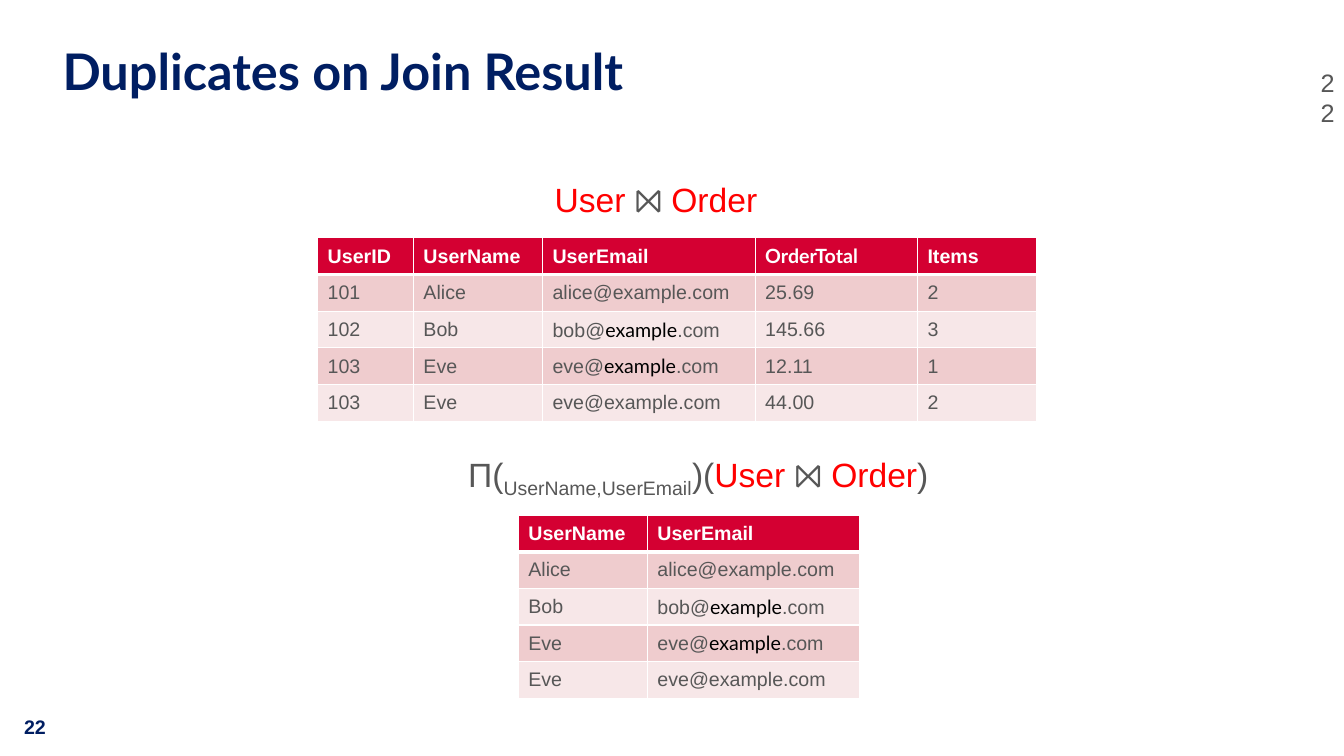
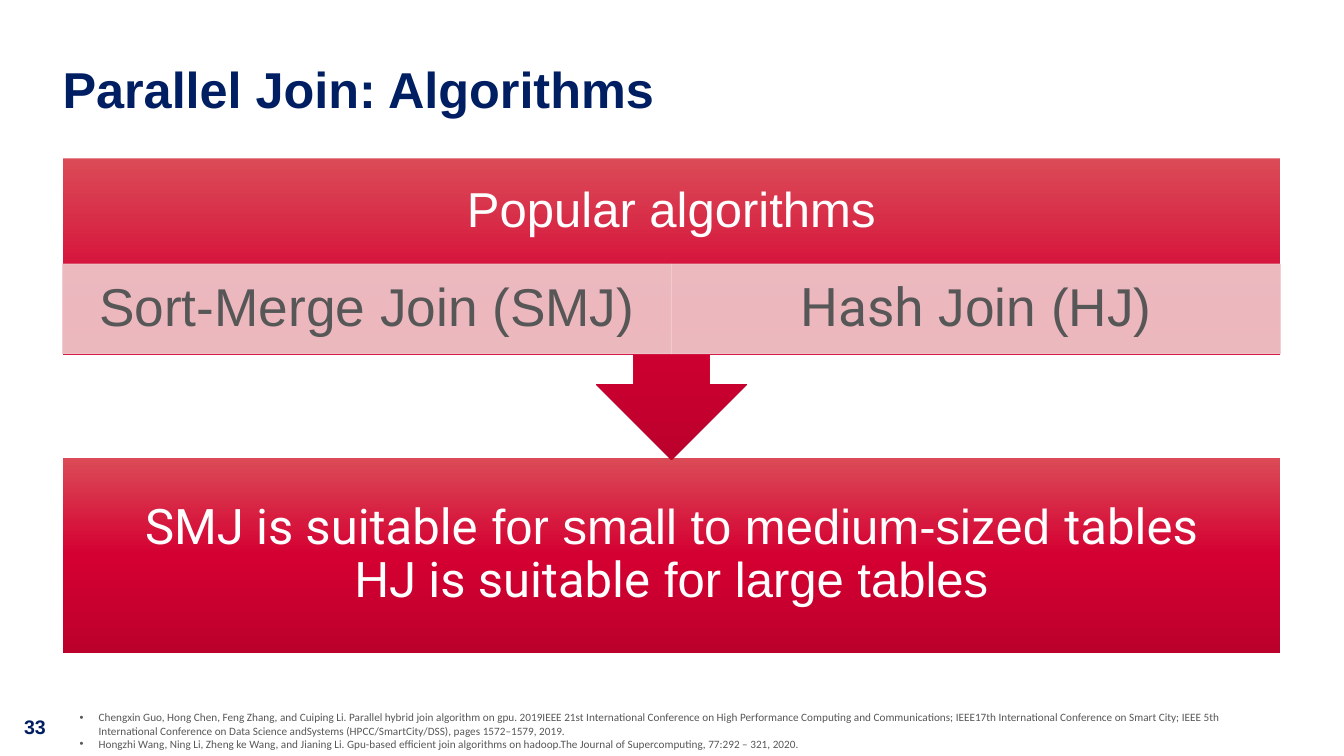
from lxml import etree
from pptx import Presentation
from pptx.dml.color import RGBColor
from pptx.enum.shapes import MSO_SHAPE as SHAPE
from pptx.enum.text import MSO_ANCHOR as ANCHOR, PP_ALIGN as ALIGN
from pptx.oxml.ns import qn
from pptx.util import Inches, Pt

# Colours
NAVY = RGBColor(0x00, 0x1E, 0x62)
GREY = RGBColor(0x57, 0x57, 0x57)
RED = RGBColor(0xFF, 0x00, 0x00)
CRIMSON = RGBColor(0xD4, 0x00, 0x32)
CRIMSON_LIGHT = RGBColor(0xDB, 0x4B, 0x57)
CRIMSON_DARK = RGBColor(0xBC, 0x00, 0x2C)
PINK = RGBColor(0xEF, 0xCC, 0xCE)
PINK_PALE = RGBColor(0xF7, 0xE7, 0xE8)
WHITE = RGBColor(0xFF, 0xFF, 0xFF)
BLACK = RGBColor(0x00, 0x00, 0x00)

# Grid, in inches
SLIDE_W, SLIDE_H = 13.33, 7.5
MARGIN = 0.62
CONTENT_W = 12.08
TABLE_ROW = 1.82 / 5
INSETS = (0.1, 0.05, 0.1, 0.05)

# Table content: a cell is a text or a list of (text, style) runs
LATO = {"font": "Lato"}
ROBOTO = {"font": "Roboto"}


def mixed_email(name):
    return [(name + "@", {}), ("example", {"font": "Lato", "color": BLACK}), (".com", {})]


JOIN_ROWS = [
    ["UserID", "UserName", "UserEmail", [("OrderTotal", LATO)], "Items"],
    ["101", "Alice", "alice@example.com", "25.69", "2"],
    ["102", "Bob", mixed_email("bob"), "145.66", "3"],
    ["103", "Eve", mixed_email("eve"), "12.11", "1"],
    ["103", "Eve", "eve@example.com", "44.00", "2"],
]
JOIN_COLS = [0.95, 1.28, 2.11, 1.61, 1.18]
PROJECTED = slice(1, 3)
JOIN_RUNS = [("User ", {"color": RED}), ("⨝ ", {}), ("Order", {"color": RED})]

REFERENCES = [
    "Chengxin Guo, Hong Chen, Feng Zhang, and Cuiping Li. Parallel hybrid join algorithm on gpu. "
    "2019IEEE 21st International Conference on High Performance Computing and Communications; "
    "IEEE17th International Conference on Smart City; IEEE 5th International Conference on Data "
    "Science andSystems (HPCC/SmartCity/DSS), pages 1572–1579, 2019.",
    "Hongzhi Wang, Ning Li, Zheng ke Wang, and Jianing Li. Gpu-based efficient join algorithms on "
    "hadoop.The Journal of Supercomputing, 77:292 – 321, 2020.",
]


# Text
def write(p, content, size, color=GREY, font="Arial", bold=False):
    """Fill a paragraph; a run text of "\\n" is a line break."""
    runs = [(content, {})] if isinstance(content, str) else content
    for text, style in runs:
        if text == "\n":
            p.add_line_break()
            continue
        r = p.add_run()
        r.text = text
        r.font.size = Pt(size)
        r.font.name = style.get("font", font)
        r.font.color.rgb = style.get("color", color)
        r.font.bold = bold
        if "base" in style:
            r.font._element.set("baseline", str(style["base"] * 1000))


def frame(sp, insets=INSETS, anchor=ANCHOR.TOP):
    tf = sp.text_frame
    tf.word_wrap = True
    tf.vertical_anchor = anchor
    tf.margin_left, tf.margin_top, tf.margin_right, tf.margin_bottom = map(Inches, insets)
    return tf


def add_text(s, box, content, size, align=None, insets=INSETS, anchor=ANCHOR.TOP,
             spacing=None, **style):
    sp = s.shapes.add_textbox(*map(Inches, box))
    p = frame(sp, insets, anchor).paragraphs[0]
    p.alignment = align
    p.line_spacing = spacing
    write(p, content, size, **style)


def add_references(s, box, entries):
    tf = frame(s.shapes.add_textbox(*map(Inches, box)))
    for i, entry in enumerate(entries):
        p = tf.add_paragraph() if i else tf.paragraphs[0]
        pPr = p._p.get_or_add_pPr()
        indent = Inches(0.19)
        pPr.set("marL", str(indent))
        pPr.set("indent", str(-indent))
        etree.SubElement(pPr, qn("a:buFont"), typeface="Arial")
        etree.SubElement(pPr, qn("a:buChar"), char="•")
        write(p, entry, 8, font="Calibri")


# Fills and shapes
def add_color(parent, color, opacity=100):
    clr = etree.SubElement(parent, qn("a:srgbClr"), val=str(color))
    if opacity < 100:
        etree.SubElement(clr, qn("a:alpha"), val=str(opacity * 1000))


def fill_crimson(sp):
    sp.fill.gradient()
    sp.fill.gradient_angle = 270
    stops = sp._element.spPr.find(qn("a:gradFill")).find(qn("a:gsLst"))
    for old in list(stops):
        stops.remove(old)
    for share, color in ((0, CRIMSON_LIGHT), (50, CRIMSON), (100, CRIMSON_DARK)):
        add_color(etree.SubElement(stops, qn("a:gs"), pos=str(share * 1000)), color)
    sp.line.fill.background()


def fill_pink(sp):
    sp.fill.solid()
    sp.fill.fore_color.rgb = PINK
    sp.line.color.rgb = PINK
    sp.line.width = Pt(0.5)
    for clr in sp._element.spPr.iter(qn("a:srgbClr")):
        etree.SubElement(clr, qn("a:alpha"), val="90000")


def add_panel(s, kind, box, paint, content, size, insets, color=WHITE):
    sp = s.shapes.add_shape(kind, *map(Inches, box))
    sp.shadow.inherit = False
    paint(sp)
    p = frame(sp, insets, ANCHOR.MIDDLE).paragraphs[0]
    p.alignment = ALIGN.CENTER
    p.line_spacing = 0.9
    write(p, content, size, color)


# Tables
def add_borders(cell, top, bottom):
    tcPr = cell._tc.get_or_add_tcPr()
    sides = (("lnL", 1), ("lnR", 1), ("lnT", top), ("lnB", bottom))
    for i, (side, width) in enumerate(sides):
        ln = etree.Element(qn("a:" + side), w=str(Pt(width)))
        add_color(etree.SubElement(ln, qn("a:solidFill")), WHITE)
        tcPr.insert(i, ln)


def add_data_table(s, left, top, cols, rows):
    size = (sum(cols), TABLE_ROW * len(rows))
    table = s.shapes.add_table(len(rows), len(cols), *map(Inches, (left, top, *size))).table
    table.horz_banding = False
    for col, width in zip(table.columns, cols):
        col.width = Inches(width)
    for i, row in enumerate(rows):
        header = i == 0
        for j, content in enumerate(row):
            cell = table.cell(i, j)
            cell.vertical_anchor = ANCHOR.MIDDLE
            cell.fill.solid()
            cell.fill.fore_color.rgb = CRIMSON if header else PINK if i % 2 else PINK_PALE
            add_borders(cell, top=3 if i == 1 else 1, bottom=3 if header else 1)
            write(cell.text_frame.paragraphs[0], content, 14,
                  color=WHITE if header else GREY, bold=header)


# Slides
def add_slide(prs, title, number, font="Arial", anchor=ANCHOR.MIDDLE):
    s = prs.slides.add_slide(prs.slide_layouts[6])
    add_text(s, (0.14, 7.04, 0.66, 0.34), number, 14, color=NAVY, bold=True)
    add_text(s, (MARGIN, 0.47, CONTENT_W, 0.89), title, 36, insets=(0, 0, 0, 0),
             anchor=anchor, spacing=0.9, color=NAVY, font=font, bold=True)
    return s


def duplicates_slide(prs):
    s = add_slide(prs, "Duplicates on Join Result", "22", "Lato", ANCHOR.TOP)
    add_text(s, (13, 0.62, 0.33, 0.4), "22", 18)

    # Join and its projection
    projection = [("Π(", {}), ("UserName,UserEmail", {"base": -25}), (")(", {}),
                  *JOIN_RUNS, (")", {})]
    add_text(s, (3.23, 1.73, 6.55, 0.5), JOIN_RUNS, 24, ALIGN.CENTER)
    add_data_table(s, 3.15, 2.36, JOIN_COLS, JOIN_ROWS)
    add_text(s, (3.65, 4.45, 6.55, 0.5), projection, 24, ALIGN.CENTER)
    add_data_table(s, 5.14, 5.11, JOIN_COLS[PROJECTED], [row[PROJECTED] for row in JOIN_ROWS])


def algorithms_slide(prs):
    s = add_slide(prs, "Parallel Join: Algorithms", "33")
    top, head_h, option_h, pad = 1.57, 1.05, 0.89, 0.27

    # Conclusion, then the callout pointing at it
    conclusion = [("SMJ is suitable", ROBOTO), (" for small to medium-sized ", {}),
                  ("tables", ROBOTO), ("\n", {}),
                  ("HJ is suitable", ROBOTO), (" for large tables", {})]
    add_panel(s, SHAPE.RECTANGLE, (MARGIN, 4.54, CONTENT_W, head_h + option_h), fill_crimson,
              conclusion, 35, (pad,) * 4)
    add_panel(s, SHAPE.DOWN_ARROW_CALLOUT, (MARGIN, top, CONTENT_W, 2.99), fill_crimson,
              "Popular algorithms", 35, (pad, pad, pad, pad + option_h))

    # Options side by side
    options = ["Sort-Merge Join (SMJ)", [("Hash", ROBOTO), (" Join (HJ)", {})]]
    option_w = CONTENT_W / len(options)
    for i, option in enumerate(options):
        box = (MARGIN + i * option_w, top + head_h, option_w, option_h)
        add_panel(s, SHAPE.RECTANGLE, box, fill_pink, option, 38, (0.3, 0.05, 0.3, 0.05), GREY)

    add_references(s, (0.69, 7, 11.85, 0.5), REFERENCES)


def main():
    prs = Presentation()
    prs.slide_width, prs.slide_height = Inches(SLIDE_W), Inches(SLIDE_H)
    duplicates_slide(prs)
    algorithms_slide(prs)
    prs.save("out.pptx")


if __name__ == "__main__":
    main()
